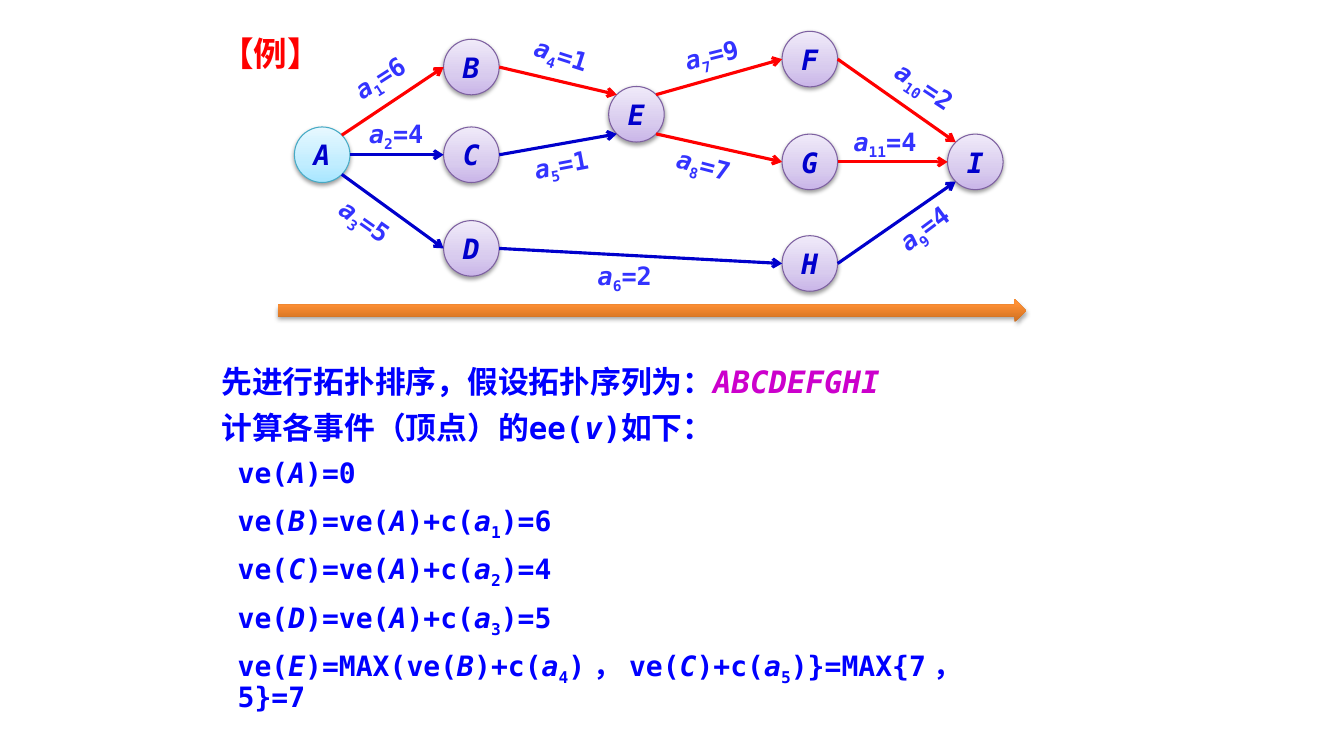
from math import cos, radians, sin

from lxml.etree import SubElement
from pptx import Presentation
from pptx.dml.color import RGBColor
from pptx.enum.shapes import MSO_CONNECTOR as CONN, MSO_SHAPE as SHAPE
from pptx.enum.text import MSO_ANCHOR as ANCHOR, MSO_AUTO_SIZE as AUTO, PP_ALIGN as ALIGN
from pptx.oxml.ns import qn
from pptx.util import Cm, Pt

FONT = "DejaVu Sans Mono"
RED, BLUE = "FF0000", "0000CC"
D = 1.4  # node diameter, cm
LABEL_W, LABEL_H = 2.39, 0.79

# In text, "|" separates runs; a leading "*" is italic, a leading "_" is subscript.
TITLE = ["【例】"]
INTRO = ["先进行拓扑排序，假设拓扑序列为：|*ABCDEFGHI", "计算各事件（顶点）的ee(|*v|)如下："]
STEPS = [
    "ve(|*A|)=0",
    "ve(|*B|)=ve(|*A|)+c(|*a|_1|)=6",
    "ve(|*C|)=ve(|*A|)+c(|*a|_2|)=4",
    "ve(|*D|)=ve(|*A|)+c(|*a|_3|)=5",
    "ve(|*E|)=MAX(ve(|*B|)+c(|*a|_4|)，ve(|*C|)+c(|*a|_5|)}=MAX{7，5}=7",
]

# event: left, top in cm
NODES = {
    "A": (7.42, 3.2), "B": (11.18, 0.99), "C": (11.18, 3.2),
    "D": (11.18, 5.56), "E": (15.34, 2.18), "F": (19.71, 0.79),
    "G": (19.71, 3.38), "H": (19.71, 5.94), "I": (23.88, 3.38),
}
# from, angle on its rim, to, angle on its rim, colour,
# weight, label left, label top, label rotation; activities a1 to a11 in order
EDGES = [
    ("A", -45, "B", 180, RED, 6, 8.38, 1.57, -32.7),
    ("A", 0, "C", 180, BLUE, 4, 8.79, 2.97, 0),
    ("A", 45, "D", 180, BLUE, 5, 8, 5.18, 35.2),
    ("B", 0, "E", 225, RED, 1, 12.95, 0.99, 17.8),
    ("C", 0, "E", 135, BLUE, 1, 12.95, 3.76, -10.8),
    ("D", 0, "H", 180, BLUE, 2, 14.55, 6.55, 0),
    ("E", -45, "F", 180, RED, 9, 16.74, 0.99, -14),
    ("E", 45, "G", 180, RED, 7, 16.54, 3.76, 14.7),
    ("H", 0, "I", 135, BLUE, 4, 22.1, 5.36, -36.6),
    ("F", 0, "I", 225, RED, 2, 22.1, 1.78, 33.4),
    ("G", 0, "I", 180, RED, 4, 21.11, 3.18, 0),
]
START_FILL = [(0, "A7E6FF"), (35, "C1EDFF"), (100, "E7F8FF")]
NODE_FILL = [(0, "C9B5E8"), (35, "D8CBEE"), (100, "F0EAF9")]
ARROW_FILL = [(0, "CC6E20"), (80, "FF9034"), (100, "FF9136")]


def rgb(value):
    return RGBColor.from_string(value)


def write(tf, lines, size=20, color="0000FF", italic_color=None, align=None,
          spacing=None, before=0):
    for i, line in enumerate(lines):
        p = tf.paragraphs[0] if i == 0 else tf.add_paragraph()
        p.alignment, p.line_spacing = align, spacing
        p.space_before = Pt(before if i else 0)
        for part in line.split("|"):
            r = p.add_run()
            r.text = part.lstrip("*_")
            f = r.font
            f.name, f.size, f.bold = FONT, Pt(size), True
            f.italic = part.startswith("*")
            special = italic_color and len(r.text) > 1 and f.italic
            f.color.rgb = rgb(italic_color if special else color)
            if part.startswith("_"):
                f._element.set("baseline", "-25000")


def add_text(box, lines, inset=None, rotation=0, **fmt):
    tb = s.shapes.add_textbox(*map(Cm, box))
    tb.rotation = rotation
    tf = tb.text_frame
    tf.word_wrap, tf.auto_size = True, AUTO.SHAPE_TO_FIT_TEXT
    if inset is not None:
        tf.margin_left = tf.margin_top = tf.margin_right = tf.margin_bottom = Cm(inset)
    write(tf, lines, **fmt)


def add_shaded(kind, box, stops, line=None, shadow=38):
    """Add a shape with an upward gradient and a soft shadow below it."""
    sp = s.shapes.add_shape(kind, *map(Cm, box))
    sp.fill.gradient()
    sp.fill.gradient_angle = 90
    spPr = sp._element.spPr
    gs_list = spPr.find(".//" + qn("a:gsLst"))
    for old in list(gs_list):
        gs_list.remove(old)
    for pos, color in stops:
        gs = SubElement(gs_list, qn("a:gs"), pos=str(pos * 1000))
        SubElement(gs, qn("a:srgbClr"), val=color)
    if line:
        sp.line.color.rgb, sp.line.width = rgb(line), Pt(0.75)
    else:
        sp.line.fill.background()
    sp.shadow.inherit = False
    outer = SubElement(spPr.find(qn("a:effectLst")), qn("a:outerShdw"),
                       blurRad=str(Pt(3.1)), dist=str(Pt(1.6)), dir="5400000", rotWithShape="0")
    black = SubElement(outer, qn("a:srgbClr"), val="000000")
    SubElement(black, qn("a:alpha"), val=str(shadow * 1000))
    return sp


def add_node(name):
    stops, line = (START_FILL, "46AAC5") if name == "A" else (NODE_FILL, "7D60A0")
    tf = add_shaded(SHAPE.OVAL, (*NODES[name], D, D), stops, line).text_frame
    tf.vertical_anchor = ANCHOR.MIDDLE
    write(tf, ["*" + name], color=BLUE, align=ALIGN.CENTER)


def rim(name, angle):
    """Point on a node's outline, angle clockwise from the right."""
    left, top = NODES[name]
    a = radians(angle)
    return Cm(left + D / 2 * (1 + cos(a))), Cm(top + D / 2 * (1 + sin(a)))


def add_edge(start, end, color):
    c = s.shapes.add_connector(CONN.STRAIGHT, *start, *end)
    c.line.color.rgb, c.line.width = rgb(color), Pt(2.25)
    SubElement(c.line._get_or_add_ln(), qn("a:tailEnd"), type="arrow")
    SubElement(c._element.spPr, qn("a:effectLst"))


prs = Presentation()
prs.slide_width, prs.slide_height = Cm(33.87), Cm(19.05)
s = prs.slides.add_slide(prs.slide_layouts[6])

add_text((5.74, 11.46, 18.75, 5.82), STEPS, align=ALIGN.JUSTIFY, spacing=0.9, before=10)
add_text((4.24, 0.71, 5.16, 1.27), TITLE, size=24, color=RED, align=ALIGN.CENTER)
add_text((5.33, 9.17, 21.41, 2.34), INTRO, size=22, italic_color="CC00CC",
         spacing=Pt(22), before=11)

for name in NODES:
    add_node(name)
for n, (a, a_angle, b, b_angle, color, weight, x, y, turn) in enumerate(EDGES, 1):
    add_edge(rim(a, a_angle), rim(b, b_angle), color)
    add_text((x, y, LABEL_W, LABEL_H), [f"*a|_{n}|={weight}"], inset=0, rotation=turn,
             size=18, color="3333FF", align=ALIGN.CENTER)
add_shaded(SHAPE.RIGHT_ARROW, (7.01, 7.54, 18.85, 0.58), ARROW_FILL, shadow=35)

prs.save("out.pptx")
